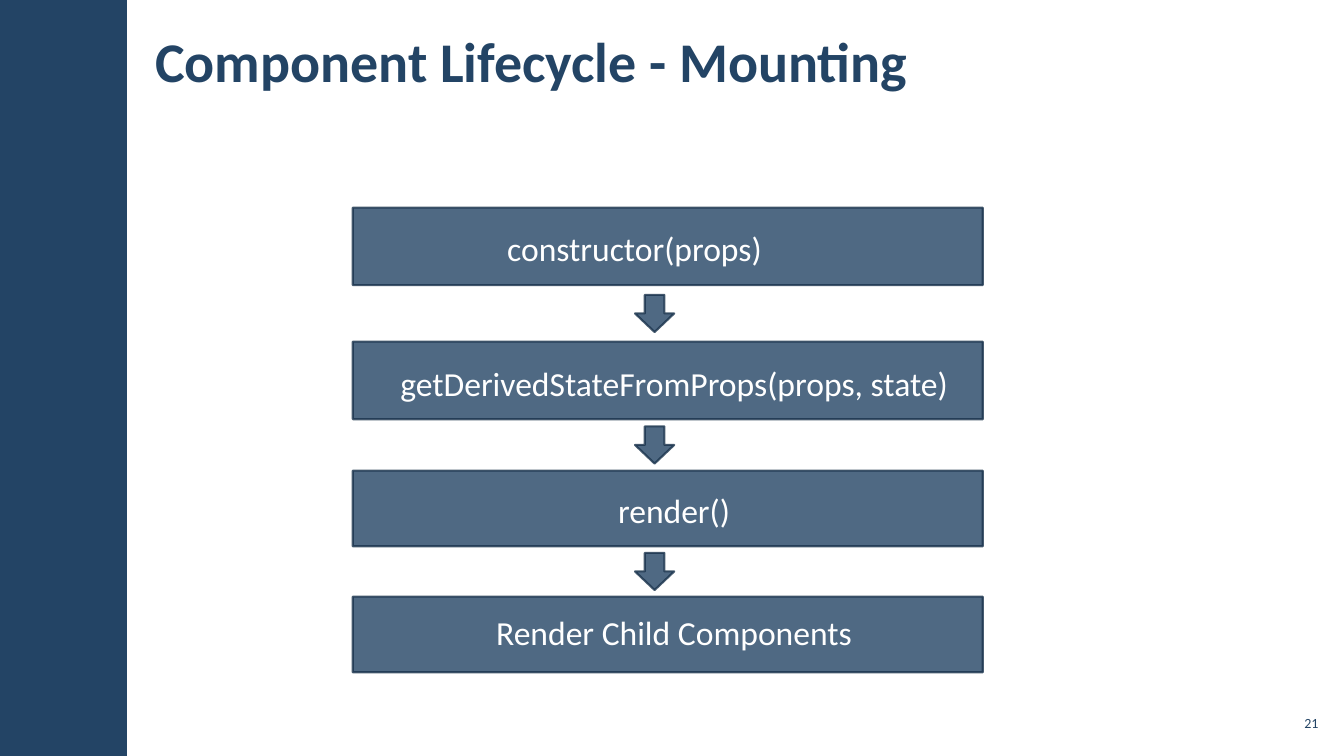
from dataclasses import dataclass

from lxml import etree
from pptx import Presentation
from pptx.dml.color import RGBColor
from pptx.enum import shapes as sh, text as tx
from pptx.oxml import ns
from pptx.util import Pt


@dataclass(frozen=True)
class Theme:
    font: str = "Calibri"
    navy: RGBColor = RGBColor(0x23, 0x44, 0x65)
    edge: RGBColor = RGBColor(0x1A, 0x33, 0x4C)
    white: RGBColor = RGBColor(0xFF, 0xFF, 0xFF)
    alpha: int = 80
    title: int = 40
    step: int = 24
    small: int = 10


THEME = Theme()
WIDE, HIGH = 960, 540
BAR = 90.72

# Each step: wording, top and height of its bar, then left, top and width of its label
STEPS = [
    ("constructor(props)", 148.3, 55.4, 297.4, 151.2, 311.8),
    ("getDerivedStateFromProps(props, state)", 244.1, 55.4, 234, 247.7, 495),
    ("render()", 336.2, 54, 234, 338.4, 495),
    ("Render Child Components", 426.2, 54, 234, 425.5, 495),
]


def place(item, left, top, width, height):
    item.left, item.top = Pt(left), Pt(top)
    item.width, item.height = Pt(width), Pt(height)


def write(frame, words, size, color, align, pad, bold=False):
    """Fill a text frame with one styled line; pad is (side, top) inset."""
    frame.text = words
    frame.word_wrap = True
    frame.margin_left = frame.margin_right = Pt(pad[0])
    frame.margin_top = frame.margin_bottom = Pt(pad[1])
    para = frame.paragraphs[0]
    para.alignment = align
    font = para.runs[0].font
    font.name, font.size, font.bold = THEME.font, Pt(size), bold
    font.color.rgb = color
    return para


def fade(shape):
    """Make the fill and line of a shape partly see-through."""
    for color in shape._element.spPr.iter(ns.qn("a:srgbClr")):
        etree.SubElement(color, ns.qn("a:alpha"), val=str(THEME.alpha * 1000))


def block(slide, kind, box, edged=True):
    shape = slide.shapes.add_shape(kind, *map(Pt, box))
    shape.shadow.inherit = False
    shape.fill.solid()
    shape.fill.fore_color.rgb = THEME.navy
    if edged:
        shape.line.color.rgb = THEME.edge
        shape.line.width = Pt(1.5)
        fade(shape)
    else:
        shape.line.fill.background()
    return shape


def header(slide, words, box):
    title = slide.shapes.title
    place(title, *box)
    frame = title.text_frame
    write(frame, words, THEME.title, THEME.navy, tx.PP_ALIGN.LEFT, (8.64, 2.88), True)
    frame.vertical_anchor = tx.MSO_ANCHOR.MIDDLE
    frame.auto_size = tx.MSO_AUTO_SIZE.NONE


def number(slide, words, box):
    frame = slide.shapes.add_textbox(*map(Pt, box)).text_frame
    write(frame, words, THEME.small, THEME.navy, tx.PP_ALIGN.RIGHT, (2.88, 2.88))
    frame.vertical_anchor = tx.MSO_ANCHOR.MIDDLE


def label(slide, words, box):
    frame = slide.shapes.add_textbox(*map(Pt, box)).text_frame
    para = write(frame, words, THEME.step, THEME.white, tx.PP_ALIGN.CENTER, (11.52, 8.64))
    para.line_spacing = 1.1
    frame.auto_size = tx.MSO_AUTO_SIZE.SHAPE_TO_FIT_TEXT


def flow(slide, left, width):
    """Stack the steps, with a down arrow centred in each gap."""
    wide, high = 28, 26.6
    mid = left + width / 2 - 9.4
    for words, top, tall, start, head, span in STEPS:
        block(slide, sh.MSO_SHAPE.FLOWCHART_PROCESS, (left, top, width, tall))
        label(slide, words, (start, head, span, 49))
    for upper, lower in zip(STEPS, STEPS[1:]):
        top = (upper[1] + upper[2] + lower[1] - high) / 2
        block(slide, sh.MSO_SHAPE.DOWN_ARROW, (mid - wide / 2, top, wide, high))


def main():
    deck = Presentation()
    deck.slide_width, deck.slide_height = Pt(WIDE), Pt(HIGH)
    slide = deck.slides.add_slide(deck.slide_layouts[5])
    block(slide, sh.MSO_SHAPE.RECTANGLE, (0, 0, BAR, HIGH), edged=False)
    header(slide, "Component Lifecycle - Mounting", (102.24, 7.9, 661, 69.8))
    flow(slide, 252, 450)
    number(slide, "21", (910.8, 504, 33.84, 24.5))
    deck.save("out.pptx")


if __name__ == "__main__":
    main()
